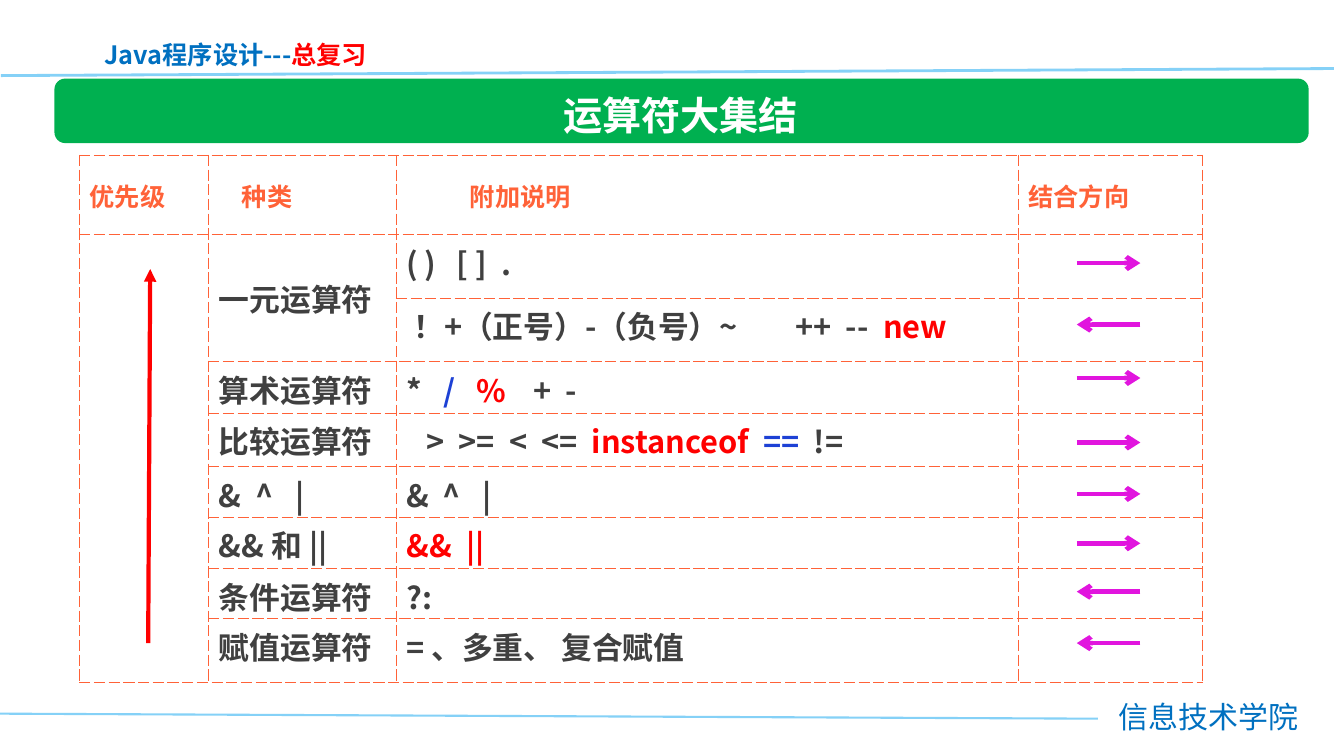
"""Build the slide that sums up Java operators by rank."""
from dataclasses import dataclass

from lxml import etree
from pptx import Presentation
from pptx.dml.color import RGBColor
from pptx.enum.shapes import MSO_CONNECTOR, MSO_SHAPE
from pptx.enum.text import MSO_ANCHOR, PP_ALIGN
from pptx.oxml.ns import qn
from pptx.util import Inches, Pt

LINE = MSO_CONNECTOR.STRAIGHT
ROUND = MSO_SHAPE.ROUNDED_RECTANGLE
MIDDLE, TOP = MSO_ANCHOR.MIDDLE, MSO_ANCHOR.TOP
LEFT, CENTER = PP_ALIGN.LEFT, PP_ALIGN.CENTER
FACE = "Noto Sans CJK SC"
HUES = {
    "sky": "85D1F7", "navy": "0070C0", "red": "FF0000", "coral": "FF6238",
    "gray": "404040", "blue": "1D41D5", "green": "00B050", "pink": "E115DE",
    "white": "FFFFFF",
}


@dataclass
class Run:
    """A stretch of text in one colour."""
    text: str
    hue: str = "gray"


@dataclass
class Entry:
    """The content of one table cell; stops are tab places in inches."""
    row: int
    col: int
    runs: list[Run]
    stops: tuple[float, ...] = ()
    inset: float = 0.1
    size: float = 22
    anchor: MSO_ANCHOR = TOP


@dataclass
class Stroke:
    """A straight line, with an arrowhead at its end if one is named."""
    start: tuple[float, float]
    end: tuple[float, float]
    hue: str
    width: float
    head: str = ""


@dataclass
class Label:
    """A text box outside the table."""
    box: tuple[float, float, float, float]
    runs: list[Run]
    size: float
    bold: bool
    align: PP_ALIGN


COLS = (1.28, 1.86, 6.17, 1.83)
ROWS = (0.79, 0.63, 0.63, 0.51, 0.53, 0.5, 0.51, 0.5, 0.63)
MERGES = (((1, 0), (8, 0)), ((1, 1), (2, 1)))
HEADS = (("优先级", 0.1), ("种类", 0.33), ("附加说明", 0.73), ("结合方向", 0.1))
BITS = [Run("&\t^\t|")]
BIT_STOPS = (0.36, 0.76)
ENTRIES = [
    Entry(0, col, [Run(text, "coral")], inset=inset, size=18, anchor=MIDDLE)
    for col, (text, inset) in enumerate(HEADS)
] + [
    Entry(1, 1, [Run("一元运算符")], anchor=MIDDLE),
    Entry(1, 2, [Run("( )\t[ ]\t.")], (0.5, 0.94)),
    Entry(2, 2, [Run("！+（正号）-（负号）~\t++\t--\t"), Run("new", "red")],
          (3.79, 4.29, 4.66), 0.17),
    Entry(3, 1, [Run("算术运算符")]),
    Entry(3, 2, [Run("*\t"), Run("/\t", "blue"), Run("%\t", "red"), Run("+\t-")],
          (0.37, 0.7, 1.26, 1.58)),
    Entry(4, 1, [Run("比较运算符")]),
    Entry(4, 2, [Run(">\t>=\t<\t<=\t"), Run("instanceof\t", "red"),
                 Run("==\t", "blue"), Run("!=")],
          (0.32, 0.82, 1.14, 1.64, 3.34, 3.84), 0.3),
    Entry(5, 1, BITS, BIT_STOPS),
    Entry(5, 2, BITS, BIT_STOPS),
    Entry(6, 1, [Run("&& 和 ||")]),
    Entry(6, 2, [Run("&&\t||", "red")], (0.6,)),
    Entry(7, 1, [Run("条件运算符")]),
    Entry(7, 2, [Run("?:")]),
    Entry(8, 1, [Run("赋值运算符")]),
    Entry(8, 2, [Run("= 、多重、 复合赋值")]),
]
RULES = [
    Stroke((0.01, 0.75), (13.23, 0.68), "sky", 2),
    Stroke((0, 7.08), (10.89, 7.13), "sky", 1.5),
]
LABELS = [
    Label((0.94, 0.34, 3.4, 0.4),
          [Run("Java程序设计---", "navy"), Run("总复习", "red")], 18, True, LEFT),
    Label((10.89, 6.88, 2.19, 0.46), [Run("信息技术学院", "navy")], 21.4, False, CENTER),
]
RANK = Stroke((1.47, 6.38), (1.49, 2.67), "red", 3, "triangle")
NEAR, FAR = 10.68, 11.31
RIGHTS = (2.61, 3.75, 4.39, 4.9, 5.39)
LEFTS = (3.22, 5.87, 6.38)
ARROWS = [Stroke((NEAR, y), (FAR, y), "pink", 3.25, "arrow") for y in RIGHTS]
ARROWS += [Stroke((FAR, y), (NEAR, y), "pink", 3.25, "arrow") for y in LEFTS]


def tint(name: str) -> RGBColor:
    """Return the named colour."""
    return RGBColor.from_string(HUES[name])


def apply(target, values: dict) -> None:
    """Set each attribute of the target from a dict."""
    for key, value in values.items():
        setattr(target, key, value)


def write(para, runs: list[Run], size: float, bold: bool) -> None:
    """Add the runs to a paragraph."""
    for item in runs:
        run = para.add_run()
        run.text = item.text
        apply(run.font, {"name": FACE, "size": Pt(size), "bold": bold})
        run.font.color.rgb = tint(item.hue)
        etree.SubElement(run.font._element, qn("a:ea"), typeface=FACE)


def draw(slide, stroke: Stroke) -> None:
    """Draw one line or arrow."""
    ends = [Inches(n) for n in stroke.start + stroke.end]
    link = slide.shapes.add_connector(LINE, *ends)
    link.line.color.rgb = tint(stroke.hue)
    link.line.width = Pt(stroke.width)
    if stroke.head:
        etree.SubElement(link.line._get_or_add_ln(), qn("a:tailEnd"), type=stroke.head)
    etree.SubElement(link._element.spPr, qn("a:effectLst"))


def label(slide, item: Label) -> None:
    """Add one text box."""
    frame = slide.shapes.add_textbox(*map(Inches, item.box)).text_frame
    frame.word_wrap = True
    frame.paragraphs[0].alignment = item.align
    write(frame.paragraphs[0], item.runs, item.size, item.bold)


def frame_cell(cell) -> None:
    """Give a cell dashed borders and a white fill."""
    props = cell._tc.get_or_add_tcPr()
    for side in ("lnL", "lnR", "lnT", "lnB"):
        edge = etree.SubElement(props, qn(f"a:{side}"), w=str(Pt(0.75)))
        fill = etree.SubElement(edge, qn("a:solidFill"))
        etree.SubElement(fill, qn("a:srgbClr"), val=HUES["coral"])
        etree.SubElement(edge, qn("a:prstDash"), val="sysDash")
    cell.fill.solid()
    cell.fill.fore_color.rgb = tint("white")


def fill_cell(cell, entry: Entry) -> None:
    """Write one entry into its cell."""
    base = 0.05 if entry.anchor == MIDDLE else 0
    apply(cell, {"margin_left": Inches(entry.inset), "margin_bottom": Inches(base),
                 "vertical_anchor": entry.anchor})
    para = cell.text_frame.paragraphs[0]
    if entry.stops:
        tabs = etree.SubElement(para._p.get_or_add_pPr(), qn("a:tabLst"))
        for stop in entry.stops:
            etree.SubElement(tabs, qn("a:tab"), pos=str(Inches(stop)), algn="l")
    write(para, entry.runs, entry.size, True)


def add_grid(slide) -> None:
    """Add the table of operators."""
    box = map(Inches, (0.79, 1.54, sum(COLS), sum(ROWS)))
    table = slide.shapes.add_table(len(ROWS), len(COLS), *box).table
    apply(table, {"first_row": False, "horz_banding": False})
    for col, width in zip(table.columns, COLS):
        col.width = Inches(width)
    for row, height in zip(table.rows, ROWS):
        row.height = Inches(height)
    for cell in table.iter_cells():
        frame_cell(cell)
    for first, last in MERGES:
        table.cell(*first).merge(table.cell(*last))
    for entry in ENTRIES:
        fill_cell(table.cell(entry.row, entry.col), entry)


def add_title(slide) -> None:
    """Add the green bar and set the title on it."""
    bar = slide.shapes.add_shape(ROUND, *map(Inches, (0.54, 0.78, 12.44, 0.64)))
    bar.shadow.inherit = False
    bar.fill.solid()
    bar.fill.fore_color.rgb = tint("green")
    bar.line.fill.background()
    title = slide.shapes.title
    apply(title, {"left": Inches(4.96), "top": Inches(0.89),
                  "width": Inches(3.58), "height": Inches(0.5)})
    apply(title.text_frame, {"vertical_anchor": MIDDLE, "word_wrap": True})
    para = title.text_frame.paragraphs[0]
    para.alignment = CENTER
    write(para, [Run("运算符大集结", "white")], 28, True)
    bar._element.addnext(title._element)


def main() -> None:
    """Build and save the slide."""
    deck = Presentation()
    apply(deck, {"slide_width": Inches(13.33), "slide_height": Inches(7.5)})
    slide = deck.slides.add_slide(deck.slide_layouts[5])
    for rule in RULES:
        draw(slide, rule)
    for item in LABELS:
        label(slide, item)
    add_grid(slide)
    draw(slide, RANK)
    add_title(slide)
    for arrow in ARROWS:
        draw(slide, arrow)
    deck.save("out.pptx")


if __name__ == "__main__":
    main()
